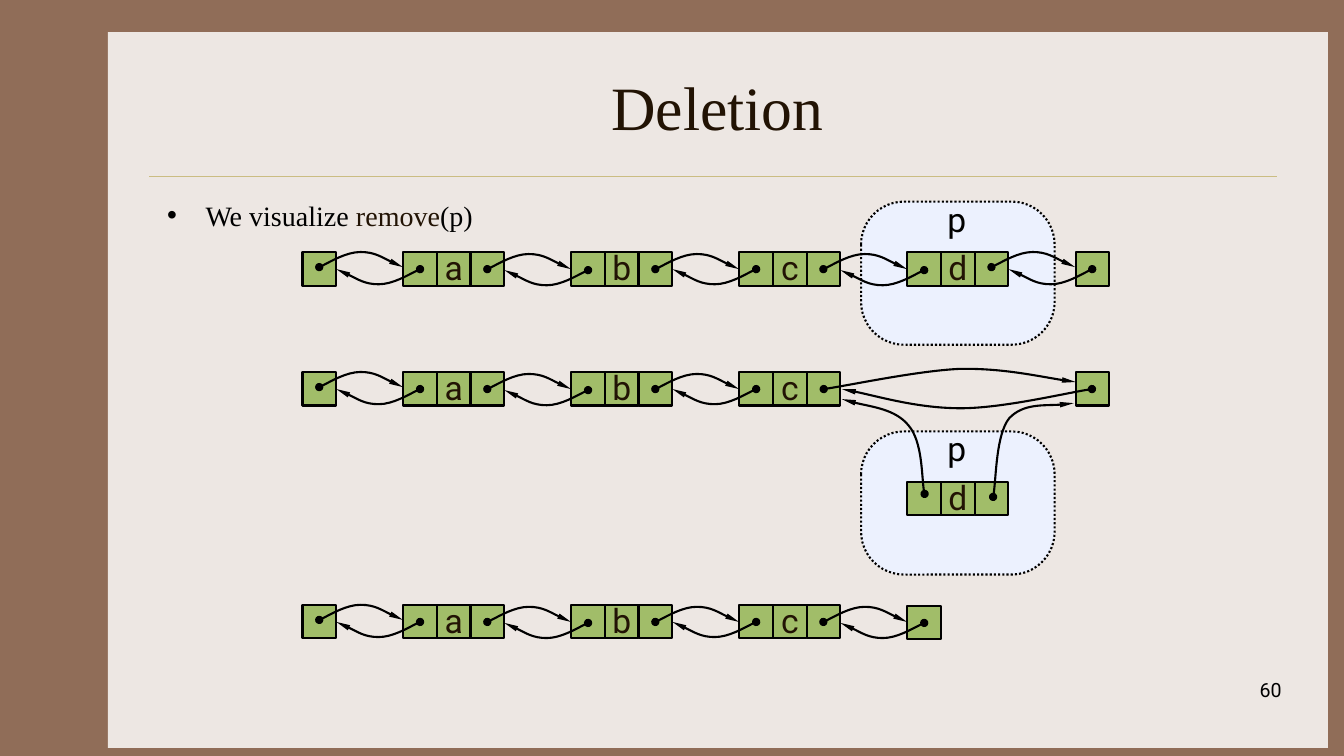
"""Build the slide showing how a node is deleted from a doubly linked list."""
from lxml import etree
from pptx import Presentation
from pptx.dml.color import RGBColor
from pptx.enum.dml import MSO_LINE
from pptx.enum.shapes import MSO_CONNECTOR, MSO_SHAPE
from pptx.enum.text import MSO_ANCHOR, PP_ALIGN
from pptx.oxml.ns import qn
from pptx.util import Inches, Pt

RECT, ROUND = MSO_SHAPE.RECTANGLE, MSO_SHAPE.ROUNDED_RECTANGLE
STRAIGHT, DOTTED = MSO_CONNECTOR.STRAIGHT, MSO_LINE.ROUND_DOT
TOP, MIDDLE = MSO_ANCHOR.TOP, MSO_ANCHOR.MIDDLE
LEFT, CENTER, RIGHT = PP_ALIGN.LEFT, PP_ALIGN.CENTER, PP_ALIGN.RIGHT

TITLE = "Deletion"
BULLET = [("We visualize ", "black"), ("remove", "ink"), ("(p)", "black")]
PAGE = "60"
ROWS = [
    dict(top=2.5, nodes="abcd", links=5, trailer=(10.67, 2.5)),
    dict(top=3.69, nodes="abc", links=3, trailer=(10.67, 3.69)),
    dict(top=6.0, nodes="abc", links=4, trailer=(9.0, 6.01)),
]
PANEL_TOPS = [2.0, 4.28]
DETACHED = ("d", 9.0, 4.78)
BYPASSES = [
    [(8.17, 3.86), (8.39, 3.83), (9.1, 3.68), (9.51, 3.66), (9.93, 3.65), (10.43, 3.76), (10.67, 3.79)],
    [(10.83, 3.86), (10.61, 3.89), (9.94, 4.05), (9.53, 4.05), (9.11, 4.05), (8.59, 3.9), (8.35, 3.86)],
    [(9.17, 4.9), (9.14, 4.79), (9.15, 4.38), (9.01, 4.22), (8.88, 4.06), (8.49, 4.01), (8.35, 3.96)],
    [(9.85, 4.93), (9.88, 4.8), (9.88, 4.31), (10.01, 4.15), (10.15, 4.0), (10.52, 4.03), (10.65, 4.0)],
]
HOP = [(0, 0), (0.07, -0.03), (0.27, -0.15), (0.41, -0.15), (0.55, -0.15), (0.75, -0.03), (0.83, 0)]
NEXT_Y = [0.15, 0.17, 0.17, 0.17, 0.15]
PREV_Y = [0.17, 0.18, 0.17, 0.18, 0.17]
CELL, PITCH, HEADER_X, NODE_X = 1 / 3, 5 / 3, 3.0, 4.0

THEME = dict(
    colors=dict(frame="906D58", paper="EDE7E3", rule="CBBD83", ink="221304",
                black="000000", cell="A1BD69", panel="ECF1FE"),
    fonts=dict(serif="Times New Roman", sans="Roboto"),
    sizes=dict(title=44, body=20, label=24, page=14),
    stroke=1.5, hairline=0.25,
)


def color(name):
    return RGBColor.from_string(THEME["colors"][name])


def set_line(line, name="black", width=THEME["stroke"]):
    line.color.rgb = color(name)
    line.width = Pt(width)


def add_box(s, kind, box, fill, outlined=True):
    shape = s.shapes.add_shape(kind, *map(Inches, box))
    shape.shadow.inherit = False
    shape.fill.solid()
    shape.fill.fore_color.rgb = color(fill)
    if outlined:
        set_line(shape.line)
    else:
        shape.line.fill.background()
    return shape


def add_text(s, box, runs, size, font, align=LEFT, anchor=TOP, wrap=True, bullet=False):
    tf = s.shapes.add_textbox(*map(Inches, box)).text_frame
    tf.word_wrap, tf.vertical_anchor = wrap, anchor
    p = tf.paragraphs[0]
    p.alignment = align
    if bullet:
        pPr = p._p.get_or_add_pPr()
        pPr.set("marL", str(Inches(0.38)))
        pPr.set("indent", str(Inches(-0.38)))
        etree.SubElement(pPr, qn("a:buFont"), typeface="Arial")
        etree.SubElement(pPr, qn("a:buChar"), char="•")
    for text, ink in runs:
        r = p.add_run()
        r.text = text
        form = dict(size=Pt(THEME["sizes"][size]), name=THEME["fonts"][font])
        for key, value in form.items():
            setattr(r.font, key, value)
        r.font.color.rgb = color(ink)


def add_label(s, text, center, top, ink="ink"):
    add_text(s, (center - 0.2, top, 0.4, 0.5), [(text, ink)], "label", "sans", CENTER, wrap=False)


def add_node(s, text, left, top):
    for i in range(3):
        add_box(s, RECT, (left + i * CELL, top, CELL, CELL), "cell")
    add_label(s, text, left + 1.5 * CELL, top - 0.1)


def add_curve(s, points):
    """Draw a Bezier arrow from a start point and triples of control points."""
    emu = [(Inches(x), Inches(y)) for x, y in points]
    builder = s.shapes.build_freeform(*emu[0])
    builder.add_line_segments(emu[1:], close=False)
    shape = builder.convert_to_shape()
    shape.shadow.inherit = False
    shape.fill.background()
    set_line(shape.line)
    outline = shape.element.xpath(".//a:path")[0]
    segments = outline.findall(qn("a:lnTo"))
    for i in range(0, len(segments), 3):
        bezier = etree.SubElement(outline, qn("a:cubicBezTo"))
        for segment in segments[i:i + 3]:
            bezier.append(segment[0])
            outline.remove(segment)
    ln = shape.element.xpath(".//a:ln")[0]
    etree.SubElement(ln, qn("a:headEnd"), type="oval", w="med", len="med")
    etree.SubElement(ln, qn("a:tailEnd"), type="triangle", w="sm", len="lg")


def add_hop(s, x, y, sign):
    add_curve(s, [(x + sign * dx, y + sign * dy) for dx, dy in HOP])


def add_row(s, top, nodes, links, trailer):
    for left, y in ((HEADER_X, top), trailer):
        add_box(s, RECT, (left, y, CELL, CELL), "cell")
    for i, text in enumerate(nodes):
        add_node(s, text, NODE_X + i * PITCH, top)
    for i in range(links):
        x = HEADER_X + CELL / 2 + i * PITCH
        add_hop(s, x, top + NEXT_Y[i], 1)
        add_hop(s, x + 1, top + PREV_Y[i], -1)


def add_frame(s):
    s.background.fill.solid()
    s.background.fill.fore_color.rgb = color("frame")
    add_box(s, RECT, (1.07, 0.32, 12.1, 7.1), "paper", outlined=False)
    rule = s.shapes.add_connector(STRAIGHT, *map(Inches, (1.48, 1.75, 12.67, 1.75)))
    set_line(rule.line, "rule", THEME["hairline"])
    etree.SubElement(rule.element.spPr, qn("a:effectLst"))
    add_text(s, (1.56, 0.42, 11.11, 1.25), [(TITLE, "ink")], "title", "serif", CENTER, MIDDLE)
    add_text(s, (1.56, 1.92, 11.11, 4.5), BULLET, "body", "serif", bullet=True)
    add_text(s, (10.03, 6.68, 2.78, 0.5), [(PAGE, "black")], "page", "sans", RIGHT)


def main():
    prs = Presentation()
    prs.slide_width, prs.slide_height = Inches(13.33), Inches(7.5)
    s = prs.slides.add_slide(prs.slide_layouts[6])
    add_frame(s)
    for top in PANEL_TOPS:
        panel = add_box(s, ROUND, (8.54, top, 1.92, 1.42), "panel")
        panel.adjustments[0] = 0.3
        panel.line.dash_style = DOTTED
        add_label(s, "p", 9.49, top - 0.08, "black")
    for row in ROWS:
        add_row(s, **row)
    add_node(s, *DETACHED)
    for points in BYPASSES:
        add_curve(s, points)
    prs.save("out.pptx")


if __name__ == "__main__":
    main()
